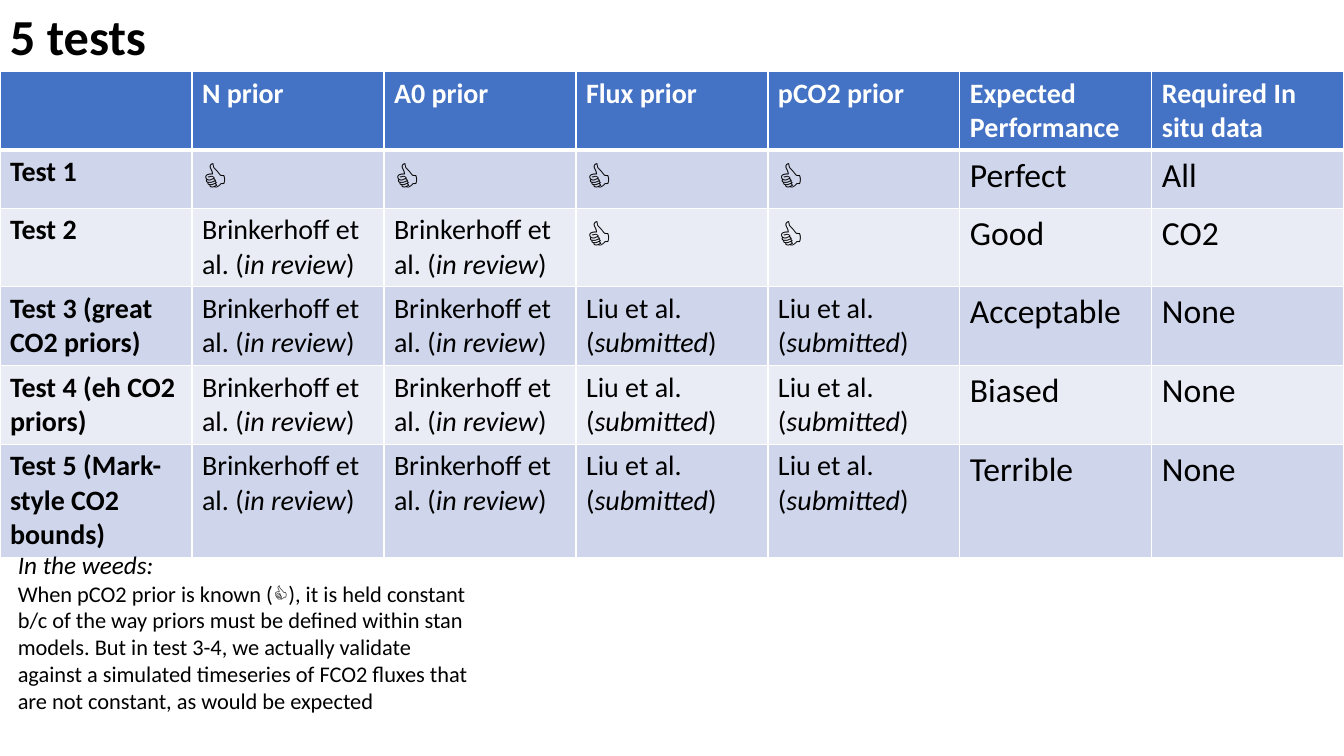
from lxml import etree
from pptx import Presentation
from pptx.dml.color import RGBColor
from pptx.enum.text import MSO_AUTO_SIZE as AUTO
from pptx.oxml.ns import qn
from pptx.util import Cm, Pt

WHITE, BLACK, BLUE = "FFFFFF", "000000", "4472C4"
BANDS = ["CFD5EA", "E9EBF5"]
THUMB = "👍"


def rgb(value):
    return RGBColor.from_string(value)


def run(text, size=20, bold=False, italic=False, color=BLACK):
    return text, size, bold, italic, color


def cite(authors, status):
    return [run(f"{authors} et al. ("), run(status, italic=True), run(")")]


class Deck:
    font = "Calibri"

    def __init__(self, width, height):
        self.prs = Presentation()
        self.prs.slide_width, self.prs.slide_height = Cm(width), Cm(height)
        self.s = self.prs.slides.add_slide(self.prs.slide_layouts[6])

    def add_runs(self, p, runs):
        for text, size, bold, italic, color in runs:
            r = p.add_run()
            r.text = text
            f = r.font
            f.name, f.size, f.bold, f.italic = self.font, Pt(size), bold, italic
            f.color.rgb = rgb(color)

    def text(self, x, y, w, h, paragraphs):
        tf = self.s.shapes.add_textbox(Cm(x), Cm(y), Cm(w), Cm(h)).text_frame
        tf.word_wrap = True
        tf.auto_size = AUTO.SHAPE_TO_FIT_TEXT
        for i, runs in enumerate(paragraphs):
            p = tf.add_paragraph() if i else tf.paragraphs[0]
            self.add_runs(p, runs)

    def border(self, cell, side, width):
        ln = etree.SubElement(cell._tc.get_or_add_tcPr(), qn(f"a:ln{side}"), w=str(Pt(width)))
        fill = etree.SubElement(ln, qn("a:solidFill"))
        etree.SubElement(fill, qn("a:srgbClr"), val=WHITE)

    def table(self, x, y, w, h, row_height, rows):
        columns = len(rows[0])
        frame = self.s.shapes.add_table(len(rows), columns, Cm(x), Cm(y), Cm(w), Cm(h))
        table = frame.table
        for column in table.columns:
            column.width = Cm(w / columns)
        for i, row in enumerate(rows):
            table.rows[i].height = Cm(row_height)
            for j, runs in enumerate(row):
                cell = table.cell(i, j)
                for side in "LRTB":
                    under_header = (i, side) in [(0, "B"), (1, "T")]
                    self.border(cell, side, 3 if under_header else 1)
                cell.fill.solid()
                cell.fill.fore_color.rgb = rgb(BANDS[(i - 1) % 2] if i else BLUE)
                self.add_runs(cell.text_frame.paragraphs[0], runs)
        frame.height = Cm(h)


def main():
    headers = ["", "N prior", "A0 prior", "Flux prior", "pCO2 prior",
               "Expected Performance", "Required In situ data"]
    known = [run(THUMB, 28, bold=True)]
    review = cite("Brinkerhoff", "in review")
    submitted = cite("Liu", "submitted")
    tests = [
        ("Test 1", known, known, "Perfect", "All"),
        ("Test 2", review, known, "Good", "CO2"),
        ("Test 3 (great CO2 priors)", review, submitted, "Acceptable", "None"),
        ("Test 4 (eh CO2 priors)", review, submitted, "Biased", "None"),
        ("Test 5 (Mark-style CO2 bounds)", review, submitted, "Terrible", "None"),
    ]
    rows = [[[run(h, bold=True, color=WHITE)] if h else [] for h in headers]]
    for name, river, carbon, performance, data in tests:
        rows.append([[run(name, bold=True)], river, river, carbon, carbon,
                     [run(performance, 24)], [run(data, 24)]])

    deck = Deck(33.87, 19.05)
    deck.table(0, 1.8, 33.87, 12.01, 1.04, rows)
    deck.text(0, 0, 33.87, 1.8, [[run("5 tests", 36, bold=True)]])
    deck.text(0.2, 13.72, 12.07, 4.45, [
        [run("In the weeds:", 18, italic=True)],
        [run("When pCO2 prior is known (", 16),
         run(THUMB, 16, bold=True),
         run("), it is held constant b/c of the way priors must be defined within stan models. "
             "But in test 3-4, we actually validate against a simulated timeseries of FCO2 "
             "fluxes that are not constant, as would be expected", 16)],
    ])
    deck.prs.save("out.pptx")


if __name__ == "__main__":
    main()
